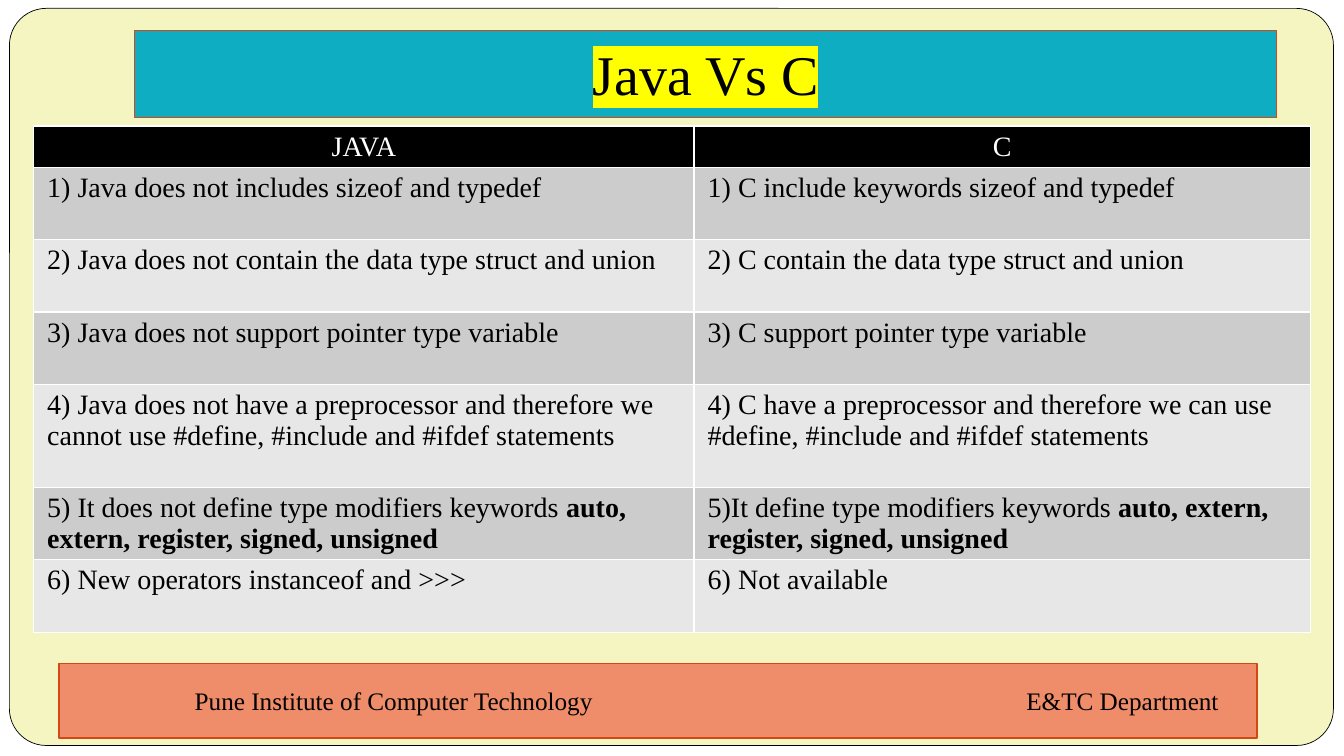
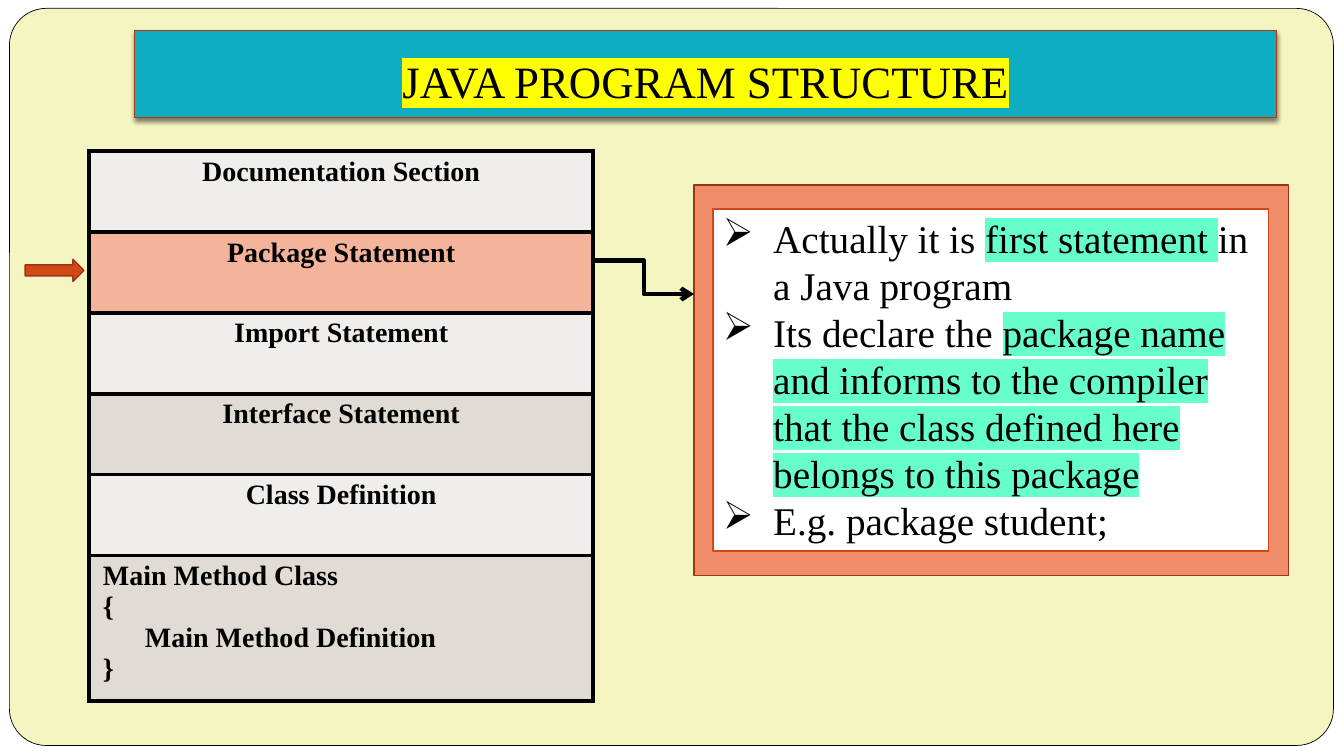
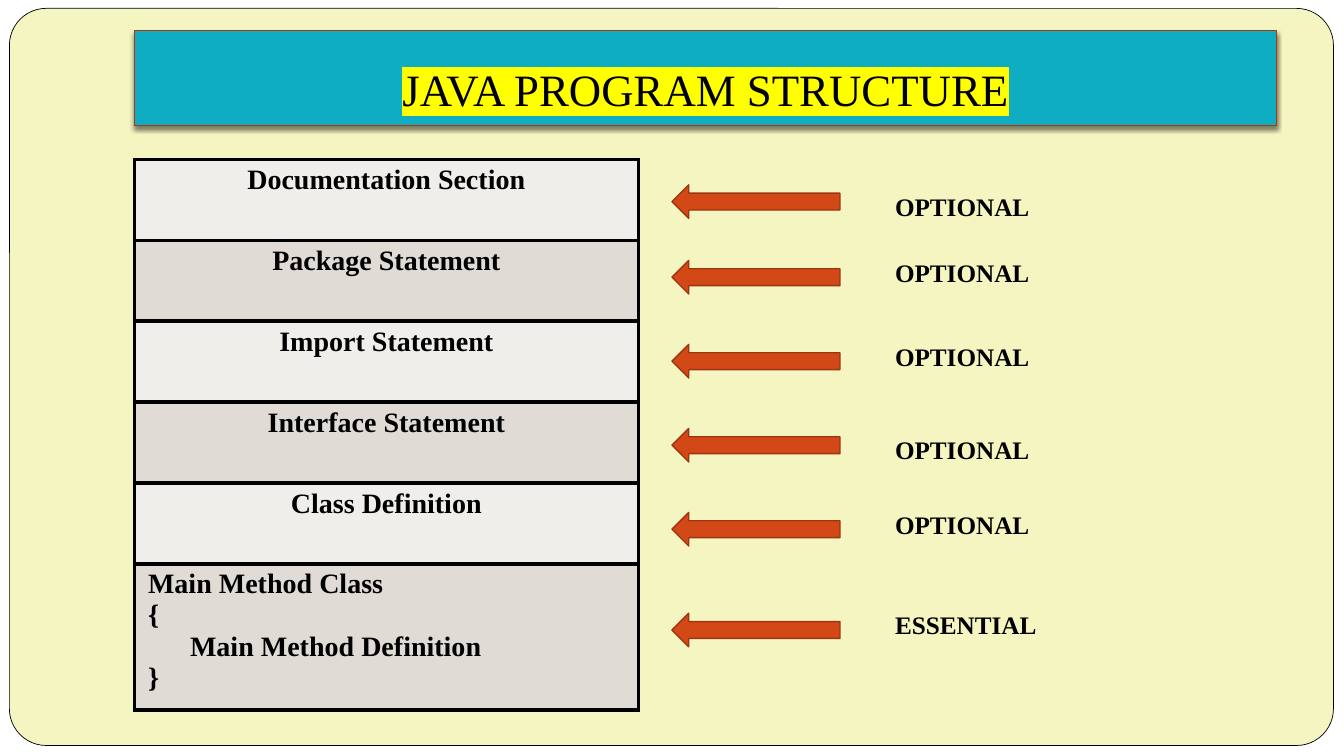
from dataclasses import dataclass
from typing import Optional

import pptx
import pptx.dml.color
import pptx.enum.dml
import pptx.enum.shapes
import pptx.enum.text
import pptx.oxml.ns
import pptx.util
from lxml import etree

SHAPE = pptx.enum.shapes.MSO_SHAPE
ALIGN = pptx.enum.text.PP_ALIGN
ANCHOR = pptx.enum.text.MSO_ANCHOR

EMU_PER_PX = 9525
FONT = "Times New Roman"

# Colours
BLACK, WHITE = "000000", "FFFFFF"
PAPER, TEAL = "F5F5C1", "0EADC2"
ORANGE, DARK_ORANGE, TITLE_EDGE, SALMON = "D34817", "9C3511", "B1360B", "EF8C6A"
YELLOW, MINT = "FFFF00", "66FFCC"
ROW_LIGHT, ROW_DARK, ROW_CURRENT = "F0EEEB", "E0DBD4", "F4B39B"
GREY_LIGHT, GREY_DARK = "E7E7E7", "CCCCCC"


@dataclass(frozen=True)
class Box:
    left: int
    top: int
    width: int
    height: int


@dataclass(frozen=True)
class Run:
    text: str
    bold: bool = False
    highlight: Optional[str] = None


@dataclass(frozen=True)
class Para:
    runs: tuple[Run, ...]
    align: ALIGN = ALIGN.LEFT
    indent: int = 0
    bullet: Optional[str] = None
    tabs: tuple[int, ...] = ()


@dataclass(frozen=True)
class Cell:
    paras: tuple[Para, ...]
    fill: str
    color: str = BLACK


def px(length: int) -> pptx.util.Emu:
    return pptx.util.Emu(length * EMU_PER_PX)


def rgb(value: str) -> pptx.dml.color.RGBColor:
    return pptx.dml.color.RGBColor.from_string(value)


def place(box: Box) -> tuple:
    return px(box.left), px(box.top), px(box.width), px(box.height)


def add_xml(parent, tag: str, **attributes):
    return etree.SubElement(parent, pptx.oxml.ns.qn(f"a:{tag}"), attributes)


# Text
def write(frame, paras: tuple[Para, ...], size: int, color: str = BLACK) -> None:
    for number, para in enumerate(paras):
        line = frame.add_paragraph() if number else frame.paragraphs[0]
        line.alignment = para.align
        props = line._p.get_or_add_pPr()
        if para.indent:
            props.set("marL", str(px(para.indent)))
        if para.bullet:
            props.set("indent", str(-px(para.indent)))
            add_xml(props, "buChar", char=para.bullet)
        if para.tabs:
            stops = add_xml(props, "tabLst")
            for stop in para.tabs:
                add_xml(stops, "tab", pos=str(px(stop)), algn="l")
        for part in para.runs:
            run = line.add_run()
            run.text = part.text
            run.font.size = pptx.util.Pt(size)
            run.font.bold = part.bold
            run.font.color.rgb = rgb(color)
            if part.highlight:
                marker = add_xml(run._r.get_or_add_rPr(), "highlight")
                add_xml(marker, "srgbClr", val=part.highlight)
            run.font.name = FONT


# Shapes
def add_block(slide, kind: SHAPE, box: Box, fill: str, edge: str, weight: float = 1):
    block = slide.shapes.add_shape(kind, *place(box))
    block.shadow.inherit = False
    block.fill.solid()
    block.fill.fore_color.rgb = rgb(fill)
    block.line.color.rgb = rgb(edge)
    block.line.width = pptx.util.Pt(weight)
    block.text_frame.word_wrap = True
    return block


def add_arrow(slide, kind: SHAPE, box: Box) -> None:
    add_block(slide, kind, box, ORANGE, DARK_ORANGE)


def add_label(slide, box: Box, text: str) -> None:
    label = slide.shapes.add_textbox(*place(box))
    label.text_frame.word_wrap = True
    write(label.text_frame, (Para((Run(text, bold=True),)),), 18)


def add_elbow(slide, start: tuple[int, int], end: tuple[int, int]) -> None:
    elbow = slide.shapes.add_connector(
        pptx.enum.shapes.MSO_CONNECTOR.ELBOW, *map(px, start + end))
    elbow.line.color.rgb = rgb(BLACK)
    elbow.line.width = pptx.util.Pt(3)
    add_xml(elbow.line._get_or_add_ln(), "tailEnd", type="arrow")
    add_xml(elbow._element.spPr, "effectLst")


def add_grid(slide, left: int, top: int, widths: list[int], heights: list[int],
             rows: list[list[Cell]], border: str, weight: float) -> None:
    box = Box(left, top, sum(widths), sum(heights))
    table = slide.shapes.add_table(len(rows), len(widths), *place(box)).table
    table.horz_banding = False
    for column, width in zip(table.columns, widths):
        column.width = px(width)
    for row, height in zip(table.rows, heights):
        row.height = px(height)
    for r, row in enumerate(rows):
        for c, content in enumerate(row):
            cell = table.cell(r, c)
            cell.margin_left = cell.margin_right = px(13)
            props = cell._tc.get_or_add_tcPr()
            for side in ("lnL", "lnR", "lnT", "lnB"):
                edge = add_xml(props, side, w=str(pptx.util.Pt(weight)))
                add_xml(add_xml(edge, "solidFill"), "srgbClr", val=border)
            cell.fill.solid()
            cell.fill.fore_color.rgb = rgb(content.fill)
            write(cell.text_frame, content.paras, 20, content.color)


# Shared slide parts
def add_slide(prs, title: str, size: int, height: int, raised: bool = True):
    slide = prs.slides.add_slide(prs.slide_layouts[6])
    frame = add_block(slide, SHAPE.ROUNDED_RECTANGLE, Box(9, 8, 1261, 702),
                      PAPER, BLACK, 0.5)
    frame.adjustments[0] = 0.05
    edge, weight = (TITLE_EDGE, 0.75) if raised else (ORANGE, 1)
    banner = add_block(slide, SHAPE.RECTANGLE, Box(128, 29, 1088, height),
                       TEAL, edge, weight)
    if raised:
        effects = banner._element.spPr.find(pptx.oxml.ns.qn("a:effectLst"))
        shadow = add_xml(effects, "outerShdw", blurRad=str(pptx.util.Pt(3)),
                         dist=str(pptx.util.Pt(2)), dir="5400000", rotWithShape="0")
        add_xml(add_xml(shadow, "srgbClr", val=BLACK), "alpha", val="50000")
    banner.text_frame.vertical_anchor = ANCHOR.BOTTOM
    banner.text_frame.margin_bottom = px(10)
    write(banner.text_frame, (Para((Run(title, highlight=YELLOW),), ALIGN.CENTER),), size)
    return slide


SECTIONS = ["Documentation Section", "Package Statement", "Import Statement",
            "Interface Statement", "Class Definition"]
MAIN_CLASS = [("Main Method Class", 0), ("{", 0), ("Main Method Definition", 40), ("}", 0)]


def add_structure(slide, left: int, top: int, current: Optional[str] = None) -> None:
    contents = [(Para((Run(name, bold=True),), ALIGN.CENTER),) for name in SECTIONS]
    contents.append(tuple(Para((Run(text, bold=True),), indent=indent)
                          for text, indent in MAIN_CLASS))
    fills = [ROW_CURRENT if name == current else (ROW_LIGHT, ROW_DARK)[i % 2]
             for i, name in enumerate(SECTIONS + ["Main"])]
    rows = [[Cell(paras, fill)] for paras, fill in zip(contents, fills)]
    add_grid(slide, left, top, [480], [77] * len(SECTIONS) + [139], rows, BLACK, 3)


# Slide 1: language comparison
MODIFIERS = "auto, extern, register, signed, unsigned"
COMPARISON = [
    ("1) Java does not includes sizeof and typedef",
     "1) C include keywords sizeof and typedef"),
    ("2) Java does not contain the data type struct and union",
     "2) C contain the data type struct and union"),
    ("3) Java does not support pointer type variable",
     "3) C support pointer type variable"),
    ("4) Java does not have a preprocessor and therefore we cannot use #define, "
     "#include and #ifdef statements",
     "4) C have a preprocessor and therefore we can use #define, #include and "
     "#ifdef statements"),
    (f"5) It does not define type modifiers keywords {MODIFIERS}",
     f"5)It define type modifiers keywords {MODIFIERS}"),
    ("6) New operators instanceof and >>>", "6) Not available"),
]


def comparison_cell(text: str, fill: str) -> Cell:
    plain, modifiers, _ = text.partition(MODIFIERS)
    runs = (Run(plain),) + ((Run(modifiers, bold=True),) if modifiers else ())
    return Cell((Para(runs),), fill)


def build_comparison(prs) -> None:
    slide = add_slide(prs, "Java Vs C", 40, 83, raised=False)
    rows = [[Cell((Para((Run(name),), ALIGN.CENTER),), BLACK, WHITE)
             for name in ("JAVA", "C")]]
    for i, pair in enumerate(COMPARISON):
        rows.append([comparison_cell(text, (GREY_DARK, GREY_LIGHT)[i % 2])
                     for text in pair])
    add_grid(slide, 32, 120, [629, 587], [39, 69, 69, 69, 98, 69, 69], rows, WHITE, 1)
    footer = add_block(slide, SHAPE.RECTANGLE, Box(56, 632, 1141, 71), SALMON, ORANGE)
    footer.text_frame.vertical_anchor = ANCHOR.MIDDLE
    names = Run("\tPune Institute of Computer Technology\tE&TC Department")
    write(footer.text_frame, (Para((names,), tabs=(120, 912)),), 18)


# Slide 2: package statement
PACKAGE_NOTES = [
    (Run("Actually it is "), Run("first statement ", highlight=MINT),
     Run("in a Java program")),
    (Run("Its declare the "),
     Run("package name and informs to the compiler that the class defined here "
         "belongs to this package", highlight=MINT)),
    (Run("E.g. package student;"),),
]


def build_package(prs) -> None:
    slide = add_slide(prs, "JAVA PROGRAM STRUCTURE", 32, 83)
    add_structure(slide, 85, 144, current="Package Statement")
    add_block(slide, SHAPE.RECTANGLE, Box(661, 176, 566, 372), SALMON, DARK_ORANGE)
    notes = add_block(slide, SHAPE.RECTANGLE, Box(679, 199, 529, 326), WHITE, ORANGE)
    notes.text_frame.vertical_anchor = ANCHOR.TOP
    write(notes.text_frame, tuple(Para(runs, indent=48, bullet="➢")
                                  for runs in PACKAGE_NOTES), 28)
    add_elbow(slide, (565, 248), (661, 280))
    add_arrow(slide, SHAPE.RIGHT_ARROW, Box(24, 247, 56, 21))


# Slide 3: which sections are needed
@dataclass(frozen=True)
class Need:
    arrow_top: int
    label_top: int
    label: str = "OPTIONAL"


NEEDS = [Need(176, 177), Need(248, 240), Need(328, 320), Need(408, 409),
         Need(488, 480), Need(584, 576, "ESSENTIAL")]


def build_needs(prs) -> None:
    slide = add_slide(prs, "JAVA PROGRAM STRUCTURE", 32, 91)
    add_structure(slide, 128, 152)
    for need in NEEDS:
        add_arrow(slide, SHAPE.LEFT_ARROW, Box(640, need.arrow_top, 160, 32))
    for need in NEEDS:
        add_label(slide, Box(843, need.label_top, 267, 38), need.label)


def main() -> None:
    prs = pptx.Presentation()
    prs.slide_width, prs.slide_height = px(1280), px(720)
    backdrop = prs.slide_master.background.fill
    backdrop.solid()
    backdrop.fore_color.rgb = rgb(WHITE)
    build_comparison(prs)
    build_package(prs)
    build_needs(prs)
    prs.save("out.pptx")


if __name__ == "__main__":
    main()
